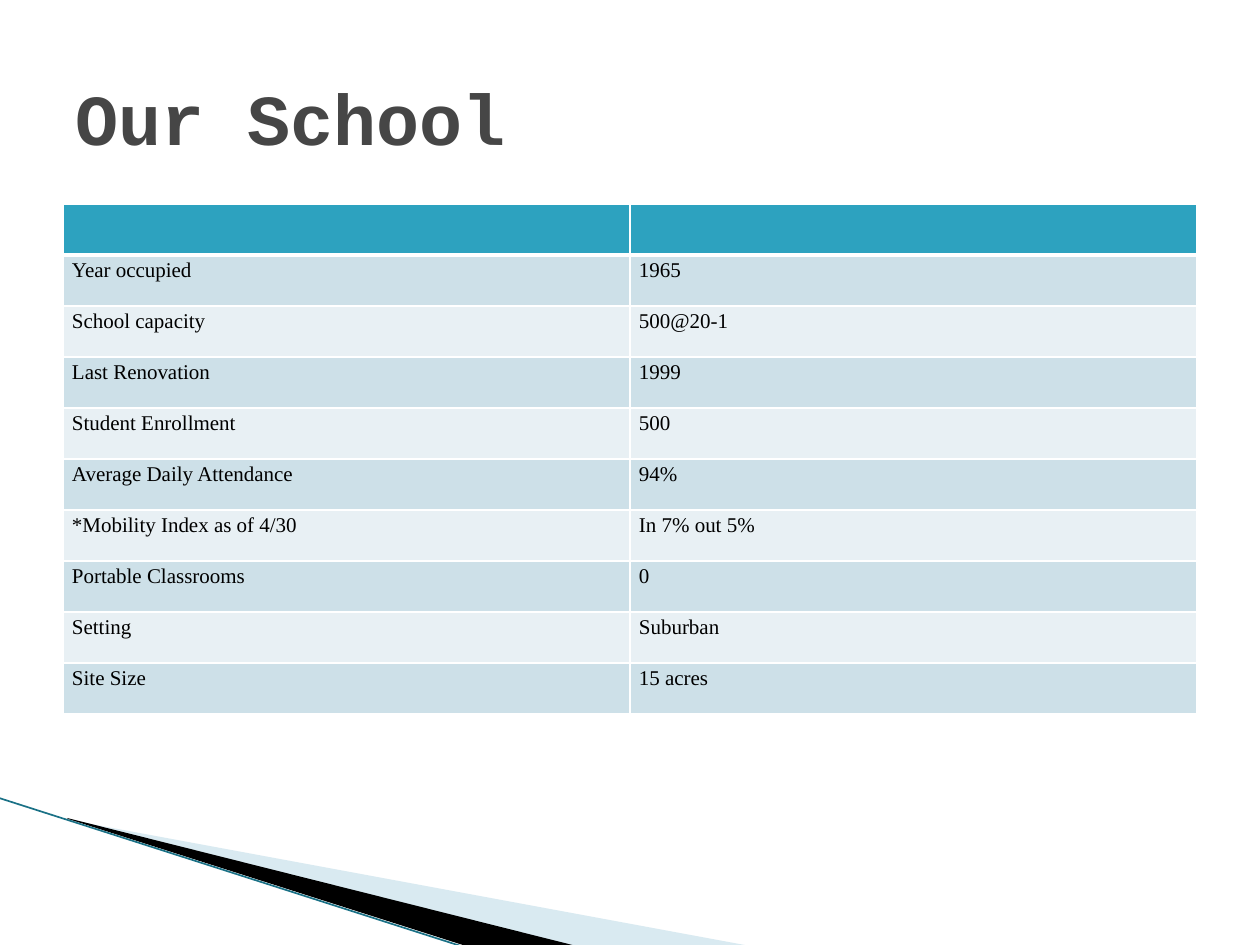
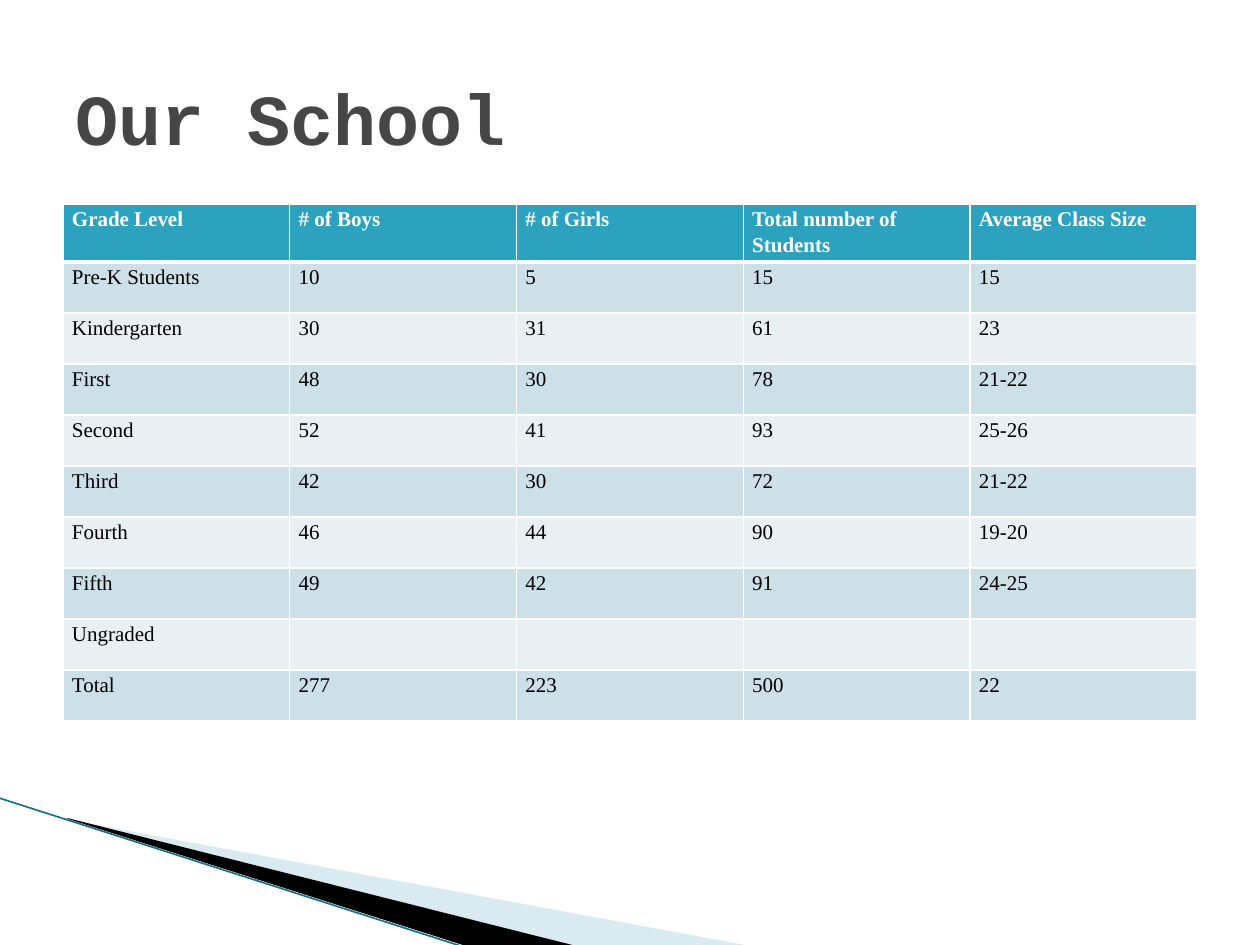
import pptx
import pptx.util
import pptx.dml.color
import pptx.enum.shapes
import pptx.enum.text
import pptx.oxml
import pptx.oxml.ns
import lxml.etree

SCALE = 914400 // 126
COLORS = {
    "title": "464646",
    "header": "2DA2BF",
    "odd_row": "CDE0E8",
    "even_row": "E8F0F4",
    "white": "FFFFFF",
    "black": "000000",
    "pale_wedge": "A0CBDC",
    "edge": "1A7186",
}
TITLE_FONT, TABLE_FONT = "Courier New", "Times New Roman"
TITLE_BOX = (63, 38, 1134, 157)
TABLE_LEFT, TABLE_TOP, TABLE_WIDTH, ROW_HEIGHT = 63, 204, 1134, 51
CELL_MARGIN = 9
WEDGES = [
    ("pale_wedge", 40, [(69, 820), (750, 946), (575, 946), (69, 819)]),
    ("black", 100, [(67, 818), (576, 946), (469, 947), (68, 819)]),
]
EDGE_LINE = (-1, 798, 467, 948)

SLIDES = [
    {
        "title": "Our School",
        "header_height": 51,
        "rows": [
            ("", ""),
            ("Year occupied", "1965"),
            ("School capacity", "500@20-1"),
            ("Last Renovation", "1999"),
            ("Student Enrollment", "500"),
            ("Average Daily Attendance", "94%"),
            ("*Mobility Index as of 4/30", "In 7% out 5%"),
            ("Portable Classrooms", "0"),
            ("Setting", "Suburban"),
            ("Site Size", "15 acres"),
        ],
    },
    {
        "title": "Our School",
        "header_height": 54,
        "rows": [
            ("Grade Level", "# of Boys", "# of Girls", "Total number of Students", "Average Class Size"),
            ("Pre-K Students", "10", "5", "15", "15"),
            ("Kindergarten", "30", "31", "61", "23"),
            ("First", "48", "30", "78", "21-22"),
            ("Second", "52", "41", "93", "25-26"),
            ("Third", "42", "30", "72", "21-22"),
            ("Fourth", "46", "44", "90", "19-20"),
            ("Fifth", "49", "42", "91", "24-25"),
            ("Ungraded", "", "", "", ""),
            ("Total", "277", "223", "500", "22"),
        ],
    },
]


def px(*values):
    return [pptx.util.Emu(value * SCALE) for value in values]


def color(name):
    return pptx.dml.color.RGBColor.from_string(COLORS[name])


def style_text(paragraph, font, size, color_name, bold):
    for run in paragraph.runs:
        run.font.name = font
        run.font.size = pptx.util.Pt(size)
        run.font.bold = bold
        run.font.color.rgb = color(color_name)


def add_wedges(slide):
    for color_name, opacity, points in WEDGES:
        builder = slide.shapes.build_freeform(*points[0], scale=SCALE)
        builder.add_line_segments(points[1:], close=True)
        shape = builder.convert_to_shape()
        shape.shadow.inherit = False
        shape.fill.solid()
        shape.fill.fore_color.rgb = color(color_name)
        shape.line.fill.background()
        if opacity < 100:
            fill_color = shape.fill._xPr.find(".//" + pptx.oxml.ns.qn("a:srgbClr"))
            alpha = lxml.etree.SubElement(fill_color, pptx.oxml.ns.qn("a:alpha"))
            alpha.set("val", str(opacity * 1000))
    line = slide.shapes.add_connector(pptx.enum.shapes.MSO_CONNECTOR.STRAIGHT, *px(*EDGE_LINE))
    line.line.color.rgb = color("edge")
    line.line.width = pptx.util.Pt(0.95)
    lxml.etree.SubElement(line._element.spPr, pptx.oxml.ns.qn("a:effectLst"))


def add_title(slide, text):
    text_frame = slide.shapes.add_textbox(*px(*TITLE_BOX)).text_frame
    text_frame.word_wrap = True
    text_frame.vertical_anchor = pptx.enum.text.MSO_ANCHOR.MIDDLE
    text_frame.text = text
    style_text(text_frame.paragraphs[0], TITLE_FONT, 41, "title", True)


def add_borders(cell, top, bottom):
    properties = cell._tc.get_or_add_tcPr()
    for side, width in (("L", 1), ("R", 1), ("T", top), ("B", bottom)):
        properties.append(pptx.oxml.parse_xml(
            f'<a:ln{side} {pptx.oxml.ns.nsdecls("a")} w="{pptx.util.Pt(width)}">'
            f'<a:solidFill><a:srgbClr val="{COLORS["white"]}"/></a:solidFill></a:ln{side}>'))


def fill_cell(cell, text, row_index):
    is_header = row_index == 0
    add_borders(cell, 3 if row_index == 1 else 1, 3 if is_header else 1)
    cell.margin_left, cell.margin_right = px(CELL_MARGIN, CELL_MARGIN)
    cell.margin_top = cell.margin_bottom = 0
    cell.fill.solid()
    cell.fill.fore_color.rgb = color(
        "header" if is_header else "odd_row" if row_index % 2 else "even_row")
    cell.text_frame.text = text
    paragraph = cell.text_frame.paragraphs[0]
    paragraph.line_spacing = 1.15
    style_text(paragraph, TABLE_FONT, 12, "white" if is_header else "black", is_header)


def add_table(slide, rows, header_height):
    column_count = len(rows[0])
    height = header_height + ROW_HEIGHT * (len(rows) - 1)
    table = slide.shapes.add_table(
        len(rows), column_count, *px(TABLE_LEFT, TABLE_TOP, TABLE_WIDTH, height)).table
    for column in table.columns:
        column.width = pptx.util.Emu(TABLE_WIDTH * SCALE // column_count)
    for row_index, row in enumerate(rows):
        table.rows[row_index].height = px(ROW_HEIGHT if row_index else header_height)[0]
        for column_index, text in enumerate(row):
            fill_cell(table.cell(row_index, column_index), text, row_index)


presentation = pptx.Presentation()
presentation.slide_width, presentation.slide_height = px(1260, 945)
for content in SLIDES:
    slide = presentation.slides.add_slide(presentation.slide_layouts[6])
    add_wedges(slide)
    add_title(slide, content["title"])
    add_table(slide, content["rows"], content["header_height"])
presentation.save("out.pptx")
